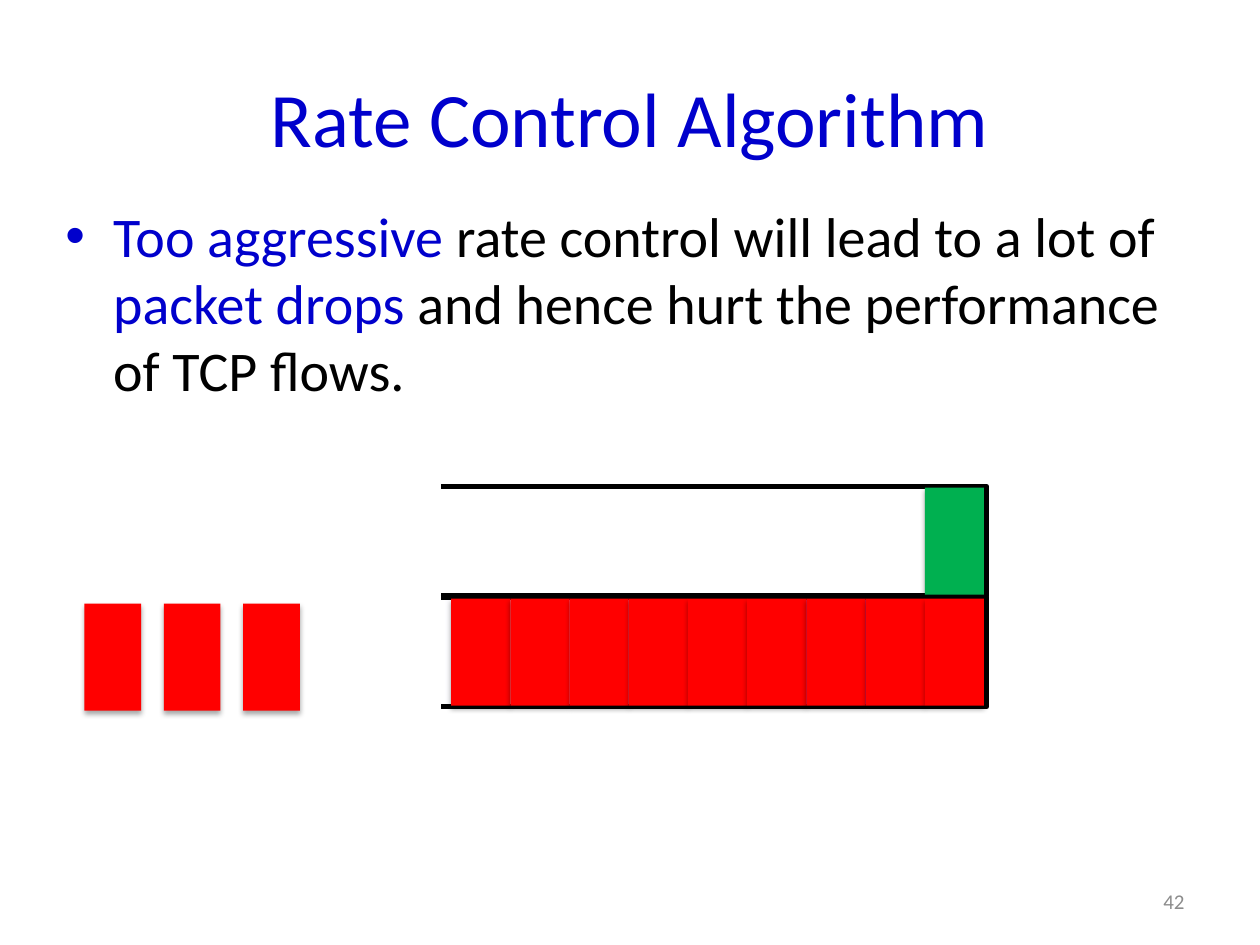
import lxml.etree
import pptx
import pptx.dml.color
import pptx.enum.text
import pptx.oxml.ns
import pptx.util

Inches = pptx.util.Inches
Pt = pptx.util.Pt
Align = pptx.enum.text.PP_ALIGN
Anchor = pptx.enum.text.MSO_ANCHOR
qn = pptx.oxml.ns.qn

BLUE, BLACK, GRAY, WHITE = "0000CC", "000000", "8C8C8C", "FFFFFF"
RED, GREEN = "FF0000", "00B050"
PACKET_WIDTH, PACKET_HEIGHT = 0.47, 0.85
QUEUE_LEFT, QUEUE_RIGHT, QUEUE_HEIGHT = 3.5, 7.83, 0.87


def paint(color_format, color):
    color_format.rgb = pptx.dml.color.RGBColor.from_string(color)


def add_bullet(paragraph, indent):
    properties = paragraph._p.get_or_add_pPr()
    properties.set("marL", str(Inches(indent)))
    properties.set("indent", str(-Inches(indent)))
    font = lxml.etree.SubElement(properties, qn("a:buFont"))
    font.set("typeface", "Arial")
    bullet = lxml.etree.SubElement(properties, qn("a:buChar"))
    bullet.set("char", "•")


def add_text(slide, place, runs, size, align=Align.LEFT, anchor=Anchor.MIDDLE, indent=0):
    box = slide.shapes.add_textbox(*map(Inches, place))
    frame = box.text_frame
    frame.word_wrap = True
    frame.vertical_anchor = anchor
    paragraph = frame.paragraphs[0]
    paragraph.alignment = align
    if indent:
        add_bullet(paragraph, indent)
    for words, color in runs:
        run = paragraph.add_run()
        run.text = words
        run.font.name = "Calibri"
        run.font.size = Pt(size)
        paint(run.font.color, color)
    return box


def add_queue(slide, top, shaded=False):
    bottom = top + QUEUE_HEIGHT
    builder = slide.shapes.build_freeform(Inches(QUEUE_LEFT), Inches(top))
    corners = [(QUEUE_RIGHT, top), (QUEUE_RIGHT, bottom), (QUEUE_LEFT, bottom)]
    builder.add_line_segments([(Inches(x), Inches(y)) for x, y in corners], close=False)
    queue = builder.convert_to_shape()
    queue.shadow.inherit = False
    if shaded:
        queue.fill.gradient()
        queue.fill.gradient_angle = 0
        for stop, color in zip(queue.fill.gradient_stops, [WHITE, "0000FF"]):
            paint(stop.color, color)
    else:
        queue.fill.background()
    paint(queue.line.color, BLACK)
    queue.line.width = Pt(3)


def add_shadow(shape):
    shape.shadow.inherit = False
    effects = shape._element.spPr.find(qn("a:effectLst"))
    shadow = lxml.etree.SubElement(effects, qn("a:outerShdw"))
    settings = {"blurRad": Pt(3.1), "dist": Pt(1.8), "dir": 90 * 60000, "rotWithShape": 0}
    for name, value in settings.items():
        shadow.set(name, str(value))
    color = lxml.etree.SubElement(shadow, qn("a:srgbClr"))
    color.set("val", BLACK)
    lxml.etree.SubElement(color, qn("a:alpha")).set("val", "35000")


def add_packet(slide, left, top, color, width=PACKET_WIDTH):
    packet = slide.shapes.add_shape(
        pptx.enum.shapes.MSO_SHAPE.RECTANGLE,
        Inches(left), Inches(top), Inches(width), Inches(PACKET_HEIGHT))
    packet.fill.solid()
    paint(packet.fill.fore_color, color)
    packet.line.fill.background()
    add_shadow(packet)


def main():
    deck = pptx.Presentation()
    deck.slide_width, deck.slide_height = Inches(10), Inches(7.5)
    slide = deck.slides.add_slide(deck.slide_layouts[6])

    add_text(slide, (7.17, 6.95, 2.33, 0.4), [("42", GRAY)], 12, Align.RIGHT)
    title = add_text(slide, (0.5, 0.3, 9, 1.25),
                     [("Rate Control Algorithm", BLUE)], 44, Align.CENTER)
    paint(title.line.color, WHITE)
    title.line.width = Pt(0.75)
    add_text(slide, (0.42, 1.55, 9.16, 4.95), [
        ("Too aggressive ", BLUE),
        ("rate control will lead to a lot of ", BLACK),
        ("packet drops", BLUE),
        (" and hence hurt the performance of TCP flows.", BLACK),
    ], 32, anchor=Anchor.TOP, indent=0.38)

    add_queue(slide, 3.86)
    add_queue(slide, 4.74, shaded=True)
    add_packet(slide, 7.34, 3.87, GREEN)
    for position in range(9):
        add_packet(slide, 3.58 + position * PACKET_WIDTH, 4.75, RED)
    for position in range(3):
        add_packet(slide, 0.67 + position * 0.63, 4.79, RED, width=0.45)

    deck.save("out.pptx")


if __name__ == "__main__":
    main()
